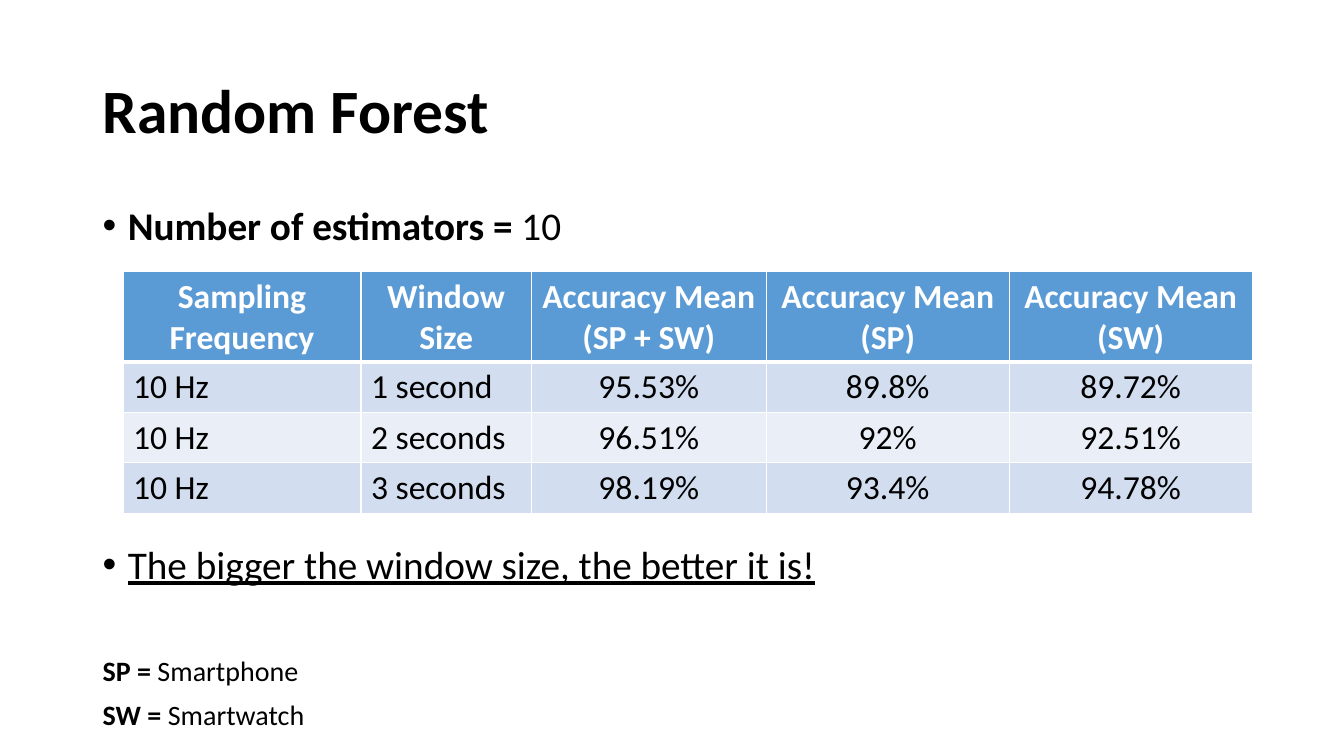
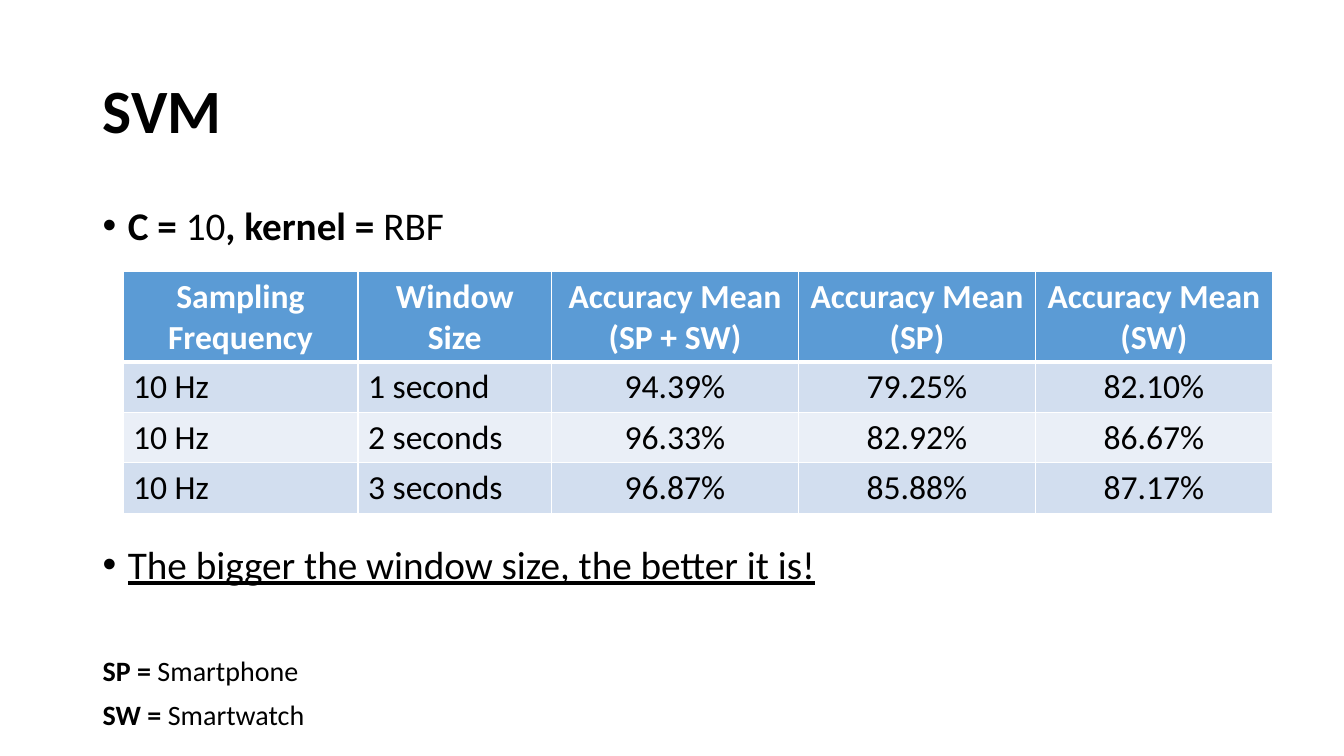
from lxml import etree
from pptx import Presentation
from pptx.dml.color import RGBColor
from pptx.enum.text import MSO_ANCHOR, MSO_AUTO_SIZE, PP_ALIGN
from pptx.oxml.ns import qn
from pptx.util import Inches, Pt

LEFT, CENTER = PP_ALIGN.LEFT, PP_ALIGN.CENTER
MIDDLE, NO_FIT = MSO_ANCHOR.MIDDLE, MSO_AUTO_SIZE.NONE
TITLE_ONLY = 5

# Shared style
FONT = "Calibri"
BLACK, WHITE = "000000", "FFFFFF"
HEADER_FILL = "5B9BD5"
BAND_FILLS = ("D2DEEF", "EAEFF7")
MARGIN, CONTENT_W = 0.92, 11.5
TABLE_LEFT, TABLE_TOP = 1.22, 2.69
HEADER_H, ROW_H = 0.9, 0.5

# Shared content
HEADERS = ("Sampling Frequency", "Window Size", "Accuracy Mean\n(SP + SW)",
           "Accuracy Mean\n(SP)", "Accuracy Mean\n(SW)")
WINDOWS = ("1 second", "2 seconds", "3 seconds")
FINDING = "The bigger the window size, the better it is!"
LEGEND = (("SP =", " Smartphone"), ("SW =", " Smartwatch"))

# Each setting alternates bold and regular runs
MODELS = (
    dict(title="Random Forest",
         setting=("Number of estimators =", " 10"),
         widths=(2.36, 1.69, 2.33, 2.41, 2.41),
         accuracy=(("95.53%", "89.8%", "89.72%"),
                   ("96.51%", "92%", "92.51%"),
                   ("98.19%", "93.4%", "94.78%"))),
    dict(title="SVM",
         setting=("C = ", "10", ", kernel = ", "RBF"),
         widths=(2.33, 1.92, 2.45, 2.35, 2.35),
         accuracy=(("94.39%", "79.25%", "82.10%"),
                   ("96.33%", "82.92%", "86.67%"),
                   ("96.87%", "85.88%", "87.17%"))),
)


def rgb(value):
    return RGBColor.from_string(value)


def add_run(p, text, size=28, color=BLACK, bold=False, underline=False):
    r = p.add_run()
    r.text = text
    r.font.name = FONT
    r.font.size = Pt(size)
    r.font.color.rgb = rgb(color)
    r.font.bold = bold
    r.font.underline = underline


def add_label_runs(p, parts, **fmt):
    """Write the parts as alternating bold and regular runs."""
    for i, text in enumerate(parts):
        add_run(p, text, bold=i % 2 == 0, **fmt)


def add_bullet(p):
    pPr = p._p.get_or_add_pPr()
    pPr.set("marL", str(Inches(0.25)))
    pPr.set("indent", str(-Inches(0.25)))
    etree.SubElement(pPr, qn("a:buFont"), typeface="Arial")
    etree.SubElement(pPr, qn("a:buChar"), char="•")


def add_title(s, text):
    sp = s.shapes.title
    sp.left, sp.top = Inches(MARGIN), Inches(0.4)
    sp.width, sp.height = Inches(CONTENT_W), Inches(1.45)
    tf = sp.text_frame
    tf.auto_size = NO_FIT
    tf.vertical_anchor = MIDDLE
    p = tf.paragraphs[0]
    p.alignment = LEFT
    p.line_spacing = 0.9
    add_run(p, text, size=44, bold=True)


def add_text(s, top, height, count=1, bullet=False):
    """Add a full-width text box and return its empty paragraphs."""
    sp = s.shapes.add_textbox(Inches(MARGIN), Inches(top),
                              Inches(CONTENT_W), Inches(height))
    tf = sp.text_frame
    tf.word_wrap = True
    for _ in range(count - 1):
        tf.add_paragraph()
    for i, p in enumerate(tf.paragraphs):
        p.line_spacing = 0.9
        p.space_before = Pt(10 if i else 0)
        if bullet:
            add_bullet(p)
    return tf.paragraphs


def set_borders(cell, top=1, bottom=1):
    tcPr = cell._tc.get_or_add_tcPr()
    for side, width in (("L", 1), ("R", 1), ("T", top), ("B", bottom)):
        ln = etree.SubElement(tcPr, qn(f"a:ln{side}"), w=str(Pt(width)))
        fill = etree.SubElement(ln, qn("a:solidFill"))
        etree.SubElement(fill, qn("a:srgbClr"), val=WHITE)


def fill_cell(cell, text, fill, align, **fmt):
    cell.fill.solid()
    cell.fill.fore_color.rgb = rgb(fill)
    tf = cell.text_frame
    for i, line in enumerate(text.split("\n")):
        p = tf.add_paragraph() if i else tf.paragraphs[0]
        p.alignment = align
        add_run(p, line, size=24, **fmt)


def add_accuracy_table(s, widths, accuracy):
    rows = [HEADERS] + [("10 Hz", window, *values)
                        for window, values in zip(WINDOWS, accuracy)]
    height = HEADER_H + ROW_H * len(accuracy)
    table = s.shapes.add_table(len(rows), len(widths), Inches(TABLE_LEFT),
                               Inches(TABLE_TOP), Inches(sum(widths)),
                               Inches(height)).table
    for column, width in zip(table.columns, widths):
        column.width = Inches(width)
    for i, row in enumerate(rows):
        table.rows[i].height = Inches(ROW_H if i else HEADER_H)
        for j, text in enumerate(row):
            cell = table.cell(i, j)
            set_borders(cell, top=3 if i == 1 else 1, bottom=1 if i else 3)
            if i == 0:
                fill_cell(cell, text, HEADER_FILL, CENTER, color=WHITE, bold=True)
            else:
                fill_cell(cell, text, BAND_FILLS[(i - 1) % 2],
                          LEFT if j < 2 else CENTER)


def add_model_slide(prs, title, setting, widths, accuracy):
    s = prs.slides.add_slide(prs.slide_layouts[TITLE_ONLY])
    add_title(s, title)
    # Model parameters
    add_label_runs(add_text(s, 2, 0.55, bullet=True)[0], setting)
    # Results and finding
    add_accuracy_table(s, widths, accuracy)
    add_run(add_text(s, 5.36, 0.55, bullet=True)[0], FINDING, underline=True)
    # Abbreviations
    for p, parts in zip(add_text(s, 6.47, 0.9, count=len(LEGEND)), LEGEND):
        add_label_runs(p, parts, size=20)


def main():
    prs = Presentation()
    prs.slide_width, prs.slide_height = Inches(13.33), Inches(7.5)
    for model in MODELS:
        add_model_slide(prs, **model)
    prs.save("out.pptx")


if __name__ == "__main__":
    main()
